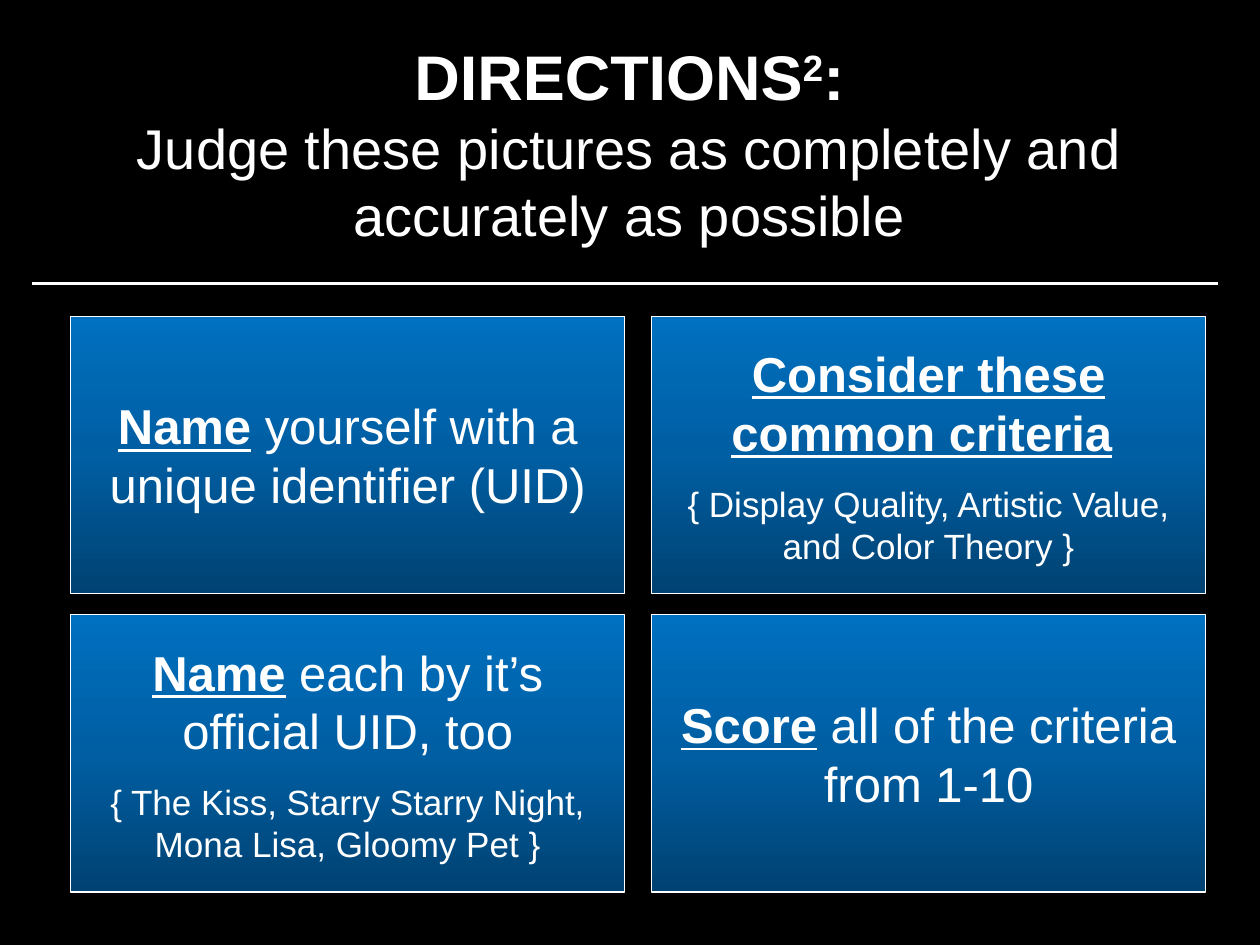
"""Build the directions slide: a title, a rule and a grid of four steps."""
import copy

import pptx
import pptx.dml.color
import pptx.enum.shapes
import pptx.enum.text
import pptx.oxml
import pptx.oxml.ns
import pptx.util

Inches = pptx.util.Inches
Pt = pptx.util.Pt

FONT = "Arial"
WHITE = "FFFFFF"
BLACK = "000000"
BLUES = [(0, "004272"), (0.5, "005EA2"), (1, "0070C0")]

PLAIN, STRONG, RAISED = "plain", "strong", "raised"
KEY = "key"

HEADING = [
    (36, [("DIRECTIONS", STRONG), ("2", RAISED), (":", STRONG)]),
    (32, [("Judge these pictures as completely and accurately as possible", PLAIN)]),
]
STEPS = [
    (0, 1, [
        (28, [("Name", KEY), (" each by it’s official UID, too", PLAIN)]),
        (20, [("{ The Kiss, Starry Starry Night, Mona Lisa, Gloomy Pet }", PLAIN)]),
    ]),
    (1, 0, [
        (28, [("Consider these common criteria", KEY), (" ", STRONG)]),
        (20, [("{ Display Quality, Artistic Value, and Color Theory }", PLAIN)]),
    ]),
    (1, 1, [(28, [("Score", KEY), (" all of the criteria from 1-10", PLAIN)])]),
    (0, 0, [(28, [("Name", KEY), (" yourself with a unique identifier (UID)", PLAIN)])]),
]
COLUMN_LEFTS = (0.56, 5.17)
ROW_TOPS = (2.51, 4.88)
STEP_WIDTH, STEP_HEIGHT = 4.4, 2.2


def rgb(value):
    return pptx.dml.color.RGBColor.from_string(value)


def write(frame, paragraphs, gap=0):
    frame.word_wrap = True
    for index, (size, runs) in enumerate(paragraphs):
        paragraph = frame.add_paragraph() if index else frame.paragraphs[0]
        paragraph.alignment = pptx.enum.text.PP_ALIGN.CENTER
        paragraph.space_before = Pt(gap if index else 0)
        for text, style in runs:
            run = paragraph.add_run()
            run.text = text
            run.font.name = FONT
            run.font.size = Pt(size)
            run.font.color.rgb = rgb(WHITE)
            run.font.bold = style != PLAIN
            run.font.underline = style == KEY
            if style == RAISED:
                run.font._element.set("baseline", "30000")


def paint_gradient(fill, properties):
    fill.gradient()
    fill.gradient_angle = 90
    stop_list = properties.find(".//" + pptx.oxml.ns.qn("a:gsLst"))
    stop_list.insert(1, copy.deepcopy(stop_list[0]))
    for stop, (position, color) in zip(fill.gradient_stops, BLUES):
        stop.position = position
        stop.color.rgb = rgb(color)


def add_step(slide, column, row, paragraphs):
    step = slide.shapes.add_shape(
        pptx.enum.shapes.MSO_SHAPE.RECTANGLE,
        Inches(COLUMN_LEFTS[column]), Inches(ROW_TOPS[row]),
        Inches(STEP_WIDTH), Inches(STEP_HEIGHT))
    step.shadow.inherit = False
    paint_gradient(step.fill, step._element.spPr)
    step.line.color.rgb = rgb(WHITE)
    step.line.width = Pt(0.75)
    step.text_frame.vertical_anchor = pptx.enum.text.MSO_ANCHOR.MIDDLE
    write(step.text_frame, paragraphs, gap=12)


def add_rule(slide):
    rule = slide.shapes.add_connector(
        pptx.enum.shapes.MSO_CONNECTOR.STRAIGHT,
        Inches(0.25), Inches(2.25), Inches(9.67), Inches(2.25))
    rule.line.color.rgb = rgb(WHITE)
    rule.line.width = Pt(2.25)
    rule._element.spPr.append(pptx.oxml.parse_xml(
        "<a:effectLst %s/>" % pptx.oxml.ns.nsdecls("a")))


def main():
    deck = pptx.Presentation()
    deck.slide_width, deck.slide_height = Inches(10), Inches(7.5)
    slide = deck.slides.add_slide(deck.slide_layouts.get_by_name("Title Only"))
    slide.background.fill.solid()
    slide.background.fill.fore_color.rgb = rgb(BLACK)

    heading = slide.shapes.title
    heading.left, heading.top = Inches(0.63), Inches(0.25)
    heading.width, heading.height = Inches(8.73), Inches(1.78)
    heading.text_frame.vertical_anchor = pptx.enum.text.MSO_ANCHOR.TOP
    heading.text_frame.auto_size = pptx.enum.text.MSO_AUTO_SIZE.SHAPE_TO_FIT_TEXT
    write(heading.text_frame, HEADING)

    add_rule(slide)
    for column, row, paragraphs in STEPS:
        add_step(slide, column, row, paragraphs)
    deck.save("out.pptx")


if __name__ == "__main__":
    main()
